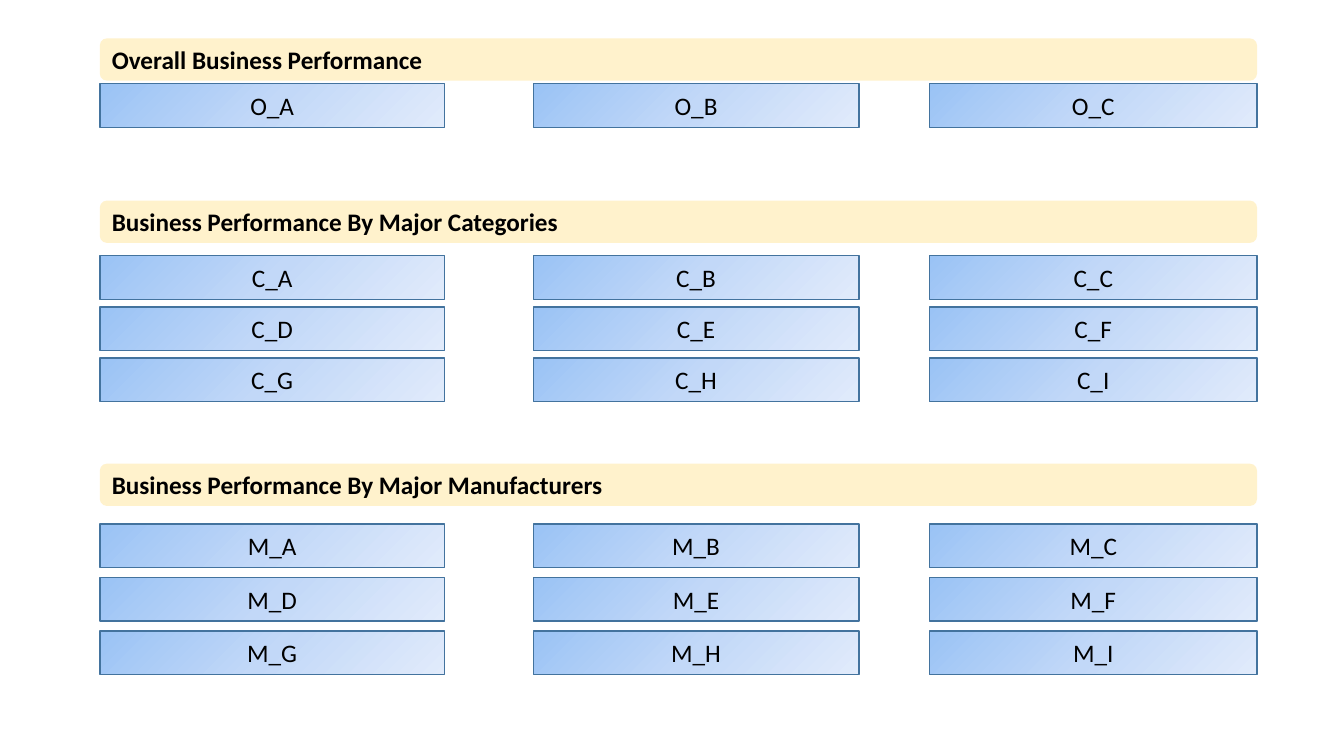
import copy

import pptx
import pptx.dml.color
import pptx.enum.shapes
import pptx.enum.text
import pptx.oxml.ns
import pptx.util

Pt = pptx.util.Pt
RGBColor = pptx.dml.color.RGBColor
SHAPE = pptx.enum.shapes.MSO_SHAPE
ALIGN = pptx.enum.text.PP_ALIGN

BLACK = RGBColor(0x00, 0x00, 0x00)
CREAM = RGBColor(0xFF, 0xF2, 0xCC)
BORDER_BLUE = RGBColor(0x43, 0x73, 0x9E)
GRADIENT = (
    (0, RGBColor(0x9A, 0xC3, 0xF5)),
    (0.5, RGBColor(0xC2, 0xD8, 0xF8)),
    (1, RGBColor(0xE1, 0xEB, 0xFB)),
)

SECTION_LEFT, SECTION_WIDTH = 71.3, 826.6
HEADING_HEIGHT, CELL_HEIGHT = 30.2, 31.2
COLUMNS = ((0, 246.2), (309.6, 232.6), (592.6, 234))  # offset, width

# Heading, top, offset of first row, row pitch, cell prefix, cell letters
SECTIONS = (
    ("Overall Business Performance", 27.4, 32.4, 0, "O", "ABC"),
    ("Business Performance By Major Categories", 143.3, 39.4, 36.5, "C", "ABCDEFGHI"),
    ("Business Performance By Major Manufacturers", 331.2, 43, 38.2, "M", "ABCDEFGHI"),
)


def add_label(slide, kind, box, text, align, bold=False):
    """Add a shape at box (left, top, width, height) with one line of text."""
    label = slide.shapes.add_shape(kind, *(Pt(length) for length in box))
    label.shadow.inherit = False
    label.text_frame.vertical_anchor = pptx.enum.text.MSO_ANCHOR.MIDDLE
    paragraph = label.text_frame.paragraphs[0]
    paragraph.alignment = align
    run = paragraph.add_run()
    run.text = text
    run.font.name = "Calibri"
    run.font.size = Pt(18)
    run.font.bold = bold
    run.font.color.rgb = BLACK
    return label


def add_heading(slide, box, text):
    heading = add_label(slide, SHAPE.ROUNDED_RECTANGLE, box, text, ALIGN.LEFT, True)
    heading.fill.solid()
    heading.fill.fore_color.rgb = CREAM
    heading.line.fill.background()


def add_cell(slide, box, text):
    cell = add_label(slide, SHAPE.RECTANGLE, box, text, ALIGN.CENTER)
    cell.line.color.rgb = BORDER_BLUE
    cell.line.width = Pt(1)
    cell.fill.gradient()
    cell.fill.gradient_angle = 315
    # A new gradient has two stops; the third is a copy of the last
    stop_list = cell._element.spPr.find(".//" + pptx.oxml.ns.qn("a:gsLst"))
    stop_list.append(copy.deepcopy(stop_list[-1]))
    for stop, (position, color) in zip(cell.fill.gradient_stops, GRADIENT):
        stop.position = position
        stop.color.rgb = color


def add_section(slide, left, top, width, heading, first_row, pitch, prefix, letters):
    add_heading(slide, (left, top, width, HEADING_HEIGHT), heading)
    # Cells run across the columns, then down
    for index, letter in enumerate(letters):
        row, column = divmod(index, len(COLUMNS))
        offset, cell_width = COLUMNS[column]
        cell_top = top + first_row + row * pitch
        box = (left + offset, cell_top, cell_width, CELL_HEIGHT)
        add_cell(slide, box, f"{prefix}_{letter}")


def main():
    deck = pptx.Presentation()
    deck.slide_width, deck.slide_height = Pt(960), Pt(540)
    slide = deck.slides.add_slide(deck.slide_layouts[6])
    for heading, top, *grid in SECTIONS:
        add_section(slide, SECTION_LEFT, top, SECTION_WIDTH, heading, *grid)
    deck.save("out.pptx")


if __name__ == "__main__":
    main()
